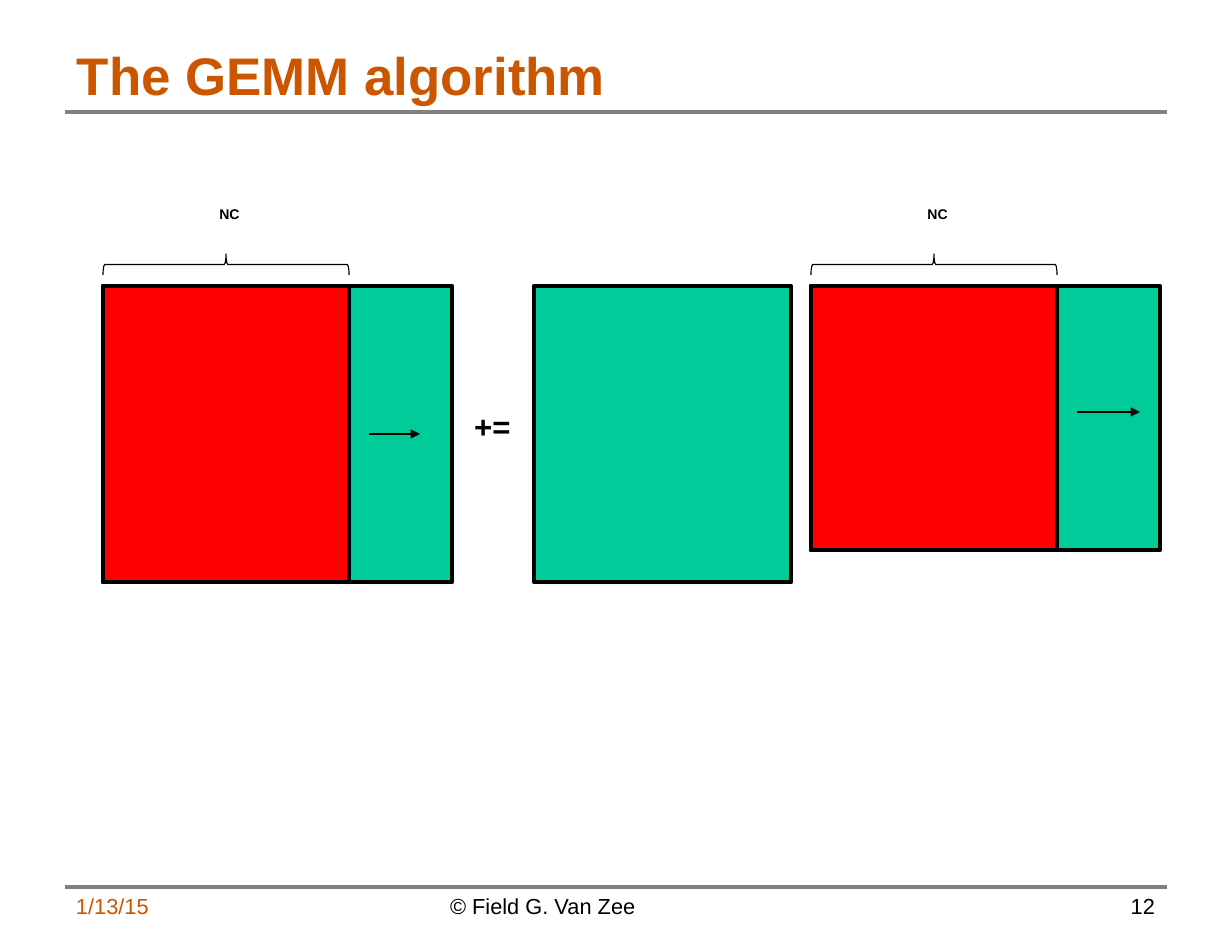
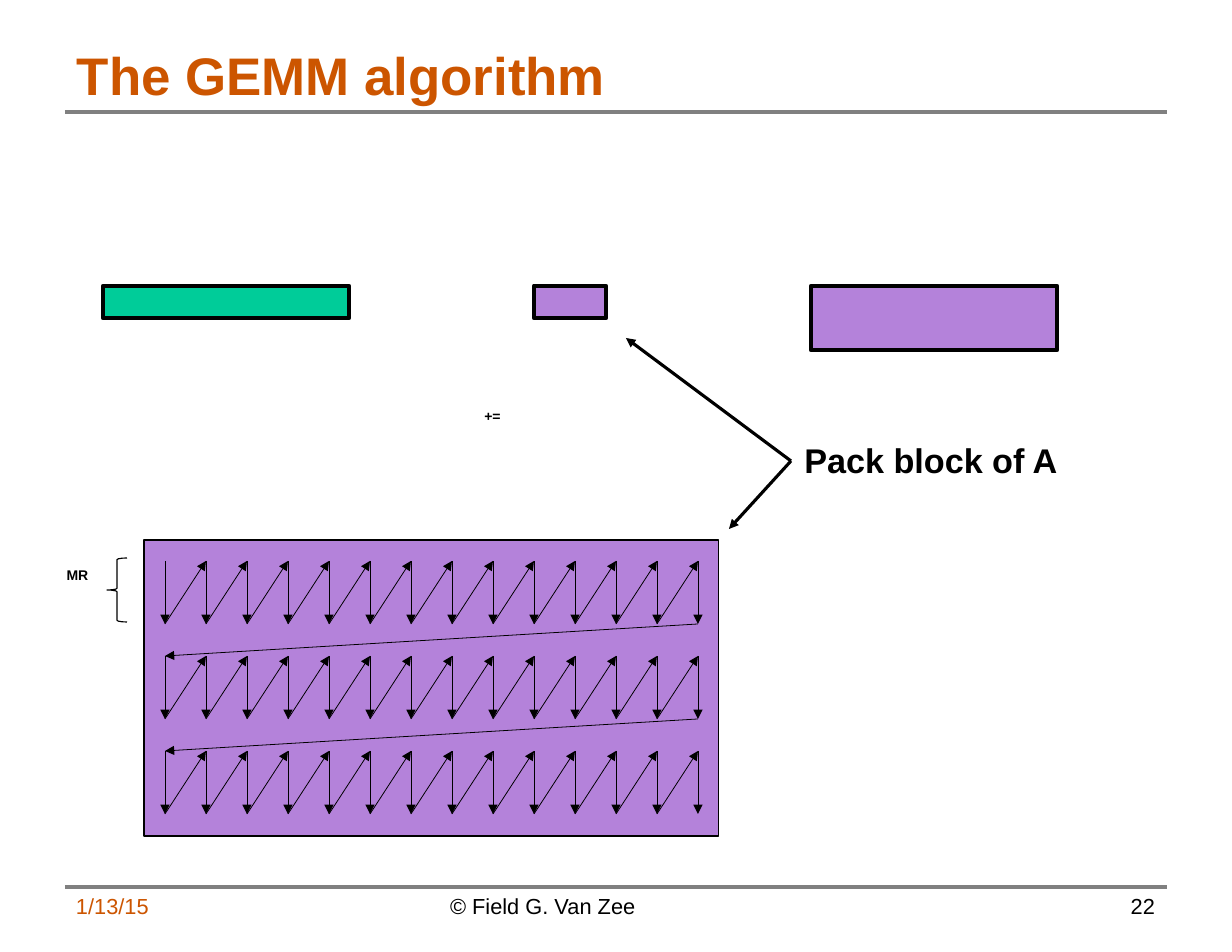
from lxml import etree
from pptx import Presentation
from pptx import util as u
from pptx.dml.color import RGBColor
from pptx.enum import shapes, text
from pptx.oxml import ns

PX = u.Inches(1) / 112
FONT = "Arial"
COLORS = {
    "accent": "CC5500",
    "rule": "808080",
    "ink": "000000",
    "matrix": "00CC99",
    "active": "FF0000",
    "packed": "B482DA",
}
LEFT, CENTER, RIGHT = text.PP_ALIGN.LEFT, text.PP_ALIGN.CENTER, text.PP_ALIGN.RIGHT


def px(n):
    return u.Emu(round(n * PX))


def rgb(name):
    return RGBColor.from_string(COLORS[name])


def format_text(tf, words, size, color="ink", bold=False, align=LEFT):
    tf.text = words
    p = tf.paragraphs[0]
    p.alignment = align
    p.font.name, p.font.size, p.font.bold = FONT, u.Pt(size), bold
    p.font.color.rgb = rgb(color)


def add_text(s, box, words, size, color="ink", bold=False, align=LEFT, wrap=True):
    tf = s.shapes.add_textbox(*map(px, box)).text_frame
    tf.word_wrap = wrap
    format_text(tf, words, size, color, bold, align)


def add_label(s, box, words, size):
    add_text(s, box, words, size, bold=True, align=CENTER, wrap=False)


def add_line(s, start, end, width, color="ink", arrow=False):
    line = s.shapes.add_connector(shapes.MSO_CONNECTOR.STRAIGHT, *map(px, (*start, *end)))
    line.line.width = u.Pt(width)
    line.line.color.rgb = rgb(color)
    if arrow:
        etree.SubElement(line.line._get_or_add_ln(), ns.qn("a:tailEnd"), type="triangle")
    etree.SubElement(line._element.spPr, ns.qn("a:effectLst"))


def add_outlined(s, kind, box, width, fill=None):
    sp = s.shapes.add_shape(kind, *map(px, box))
    sp.shadow.inherit = False
    if fill:
        sp.fill.solid()
        sp.fill.fore_color.rgb = rgb(fill)
    else:
        sp.fill.background()
    sp.line.width = u.Pt(width)
    sp.line.color.rgb = rgb("ink")
    return sp


def add_block(s, box, fill, width=3):
    add_outlined(s, shapes.MSO_SHAPE.RECTANGLE, box, width, fill)


def add_brace(s, box):
    return add_outlined(s, shapes.MSO_SHAPE.LEFT_BRACE, box, 0.75)


def add_frame(prs, number):
    """Add a slide with the shared title, rules and footer."""
    s = prs.slides.add_slide(prs.slide_layouts[5])
    title = s.shapes.title
    title.left, title.top, title.width, title.height = map(px, (65, 37, 1101, 75))
    tf = title.text_frame
    tf.auto_size = text.MSO_AUTO_SIZE.NONE
    tf.vertical_anchor = text.MSO_ANCHOR.MIDDLE
    tf.margin_left = tf.margin_right = px(12)
    tf.margin_top = tf.margin_bottom = px(7)
    format_text(tf, "The GEMM algorithm", 34, "accent", True)
    for y in (112, 887):
        add_line(s, (65, y), (1167, y), 2.25, "rule")
    add_text(s, (65, 887, 289, 58), "1/13/15", 14, "accent")
    add_text(s, (439, 887, 355, 58), "© Field G. Van Zee", 14)
    add_text(s, (877, 887, 289, 58), str(number), 14, align=RIGHT)
    return s


def add_partitioned_matrix(s, box, arrow_y, arrow_length):
    """Draw a matrix whose first NC columns are active."""
    x, y, w, h = box
    nc, brace_h = 246, 21
    add_block(s, box, "matrix")
    add_block(s, (x, y, nc, h), "active")
    brace_box = (x + (nc - brace_h) / 2, y - brace_h - (nc - brace_h) / 2 - 11, brace_h, nc)
    add_brace(s, brace_box).rotation = 90
    add_label(s, (x + 105, y - 86, 43, 28), "NC", 9)
    start = x + nc + 20
    add_line(s, (start, y + arrow_y), (start + arrow_length, y + arrow_y), 1.25, arrow=True)


def add_packing_order(s, box, rows=3, cols=14):
    """Draw the packed block and the zigzag order of its elements."""
    x, y, w, h = box
    inset, panel_h, pitch = 21, 63, 95
    add_block(s, box, "packed", 0.75)
    xs = [x + inset + i * (w - 2 * inset) / (cols - 1) for i in range(cols)]
    points = []
    for row in range(rows):
        top = y + inset + row * pitch
        for col_x in xs:
            points += [(col_x, top), (col_x, top + panel_h)]
    for start, end in zip(points, points[1:]):
        add_line(s, start, end, 0.5, arrow=True)
    add_brace(s, (x - 37, y + 18, 20, 64))
    add_label(s, (x - 90, y + 21, 47, 29), "MR", 9)


def add_callout(s, box, words, targets):
    x, y, w, h = box
    add_label(s, box, words, 22)
    for target in targets:
        add_line(s, (x, y + h / 2), target, 2, arrow=True)


def partition_slide(prs):
    s = add_frame(prs, 12)
    add_partitioned_matrix(s, (103, 286, 349, 296), 148, 51)
    add_label(s, (463, 402, 59, 49), "+=", 20)
    add_block(s, (534, 286, 257, 296), "matrix")
    add_partitioned_matrix(s, (811, 286, 349, 264), 126, 63)


def packing_slide(prs):
    s = add_frame(prs, 22)
    for x, w, h, fill in ((103, 246, 32, "matrix"), (534, 72, 32, "packed"),
                          (811, 246, 64, "packed")):
        add_block(s, (x, 286, w, h), fill)
    add_label(s, (472, 402, 41, 29), "+=", 9)
    add_packing_order(s, (144, 540, 575, 296))
    add_callout(s, (791, 434, 280, 54), "Pack block of A", ((626, 338), (729, 529)))


def main():
    prs = Presentation()
    prs.slide_width, prs.slide_height = u.Inches(11), u.Inches(8.5)
    partition_slide(prs)
    packing_slide(prs)
    prs.save("out.pptx")


if __name__ == "__main__":
    main()
